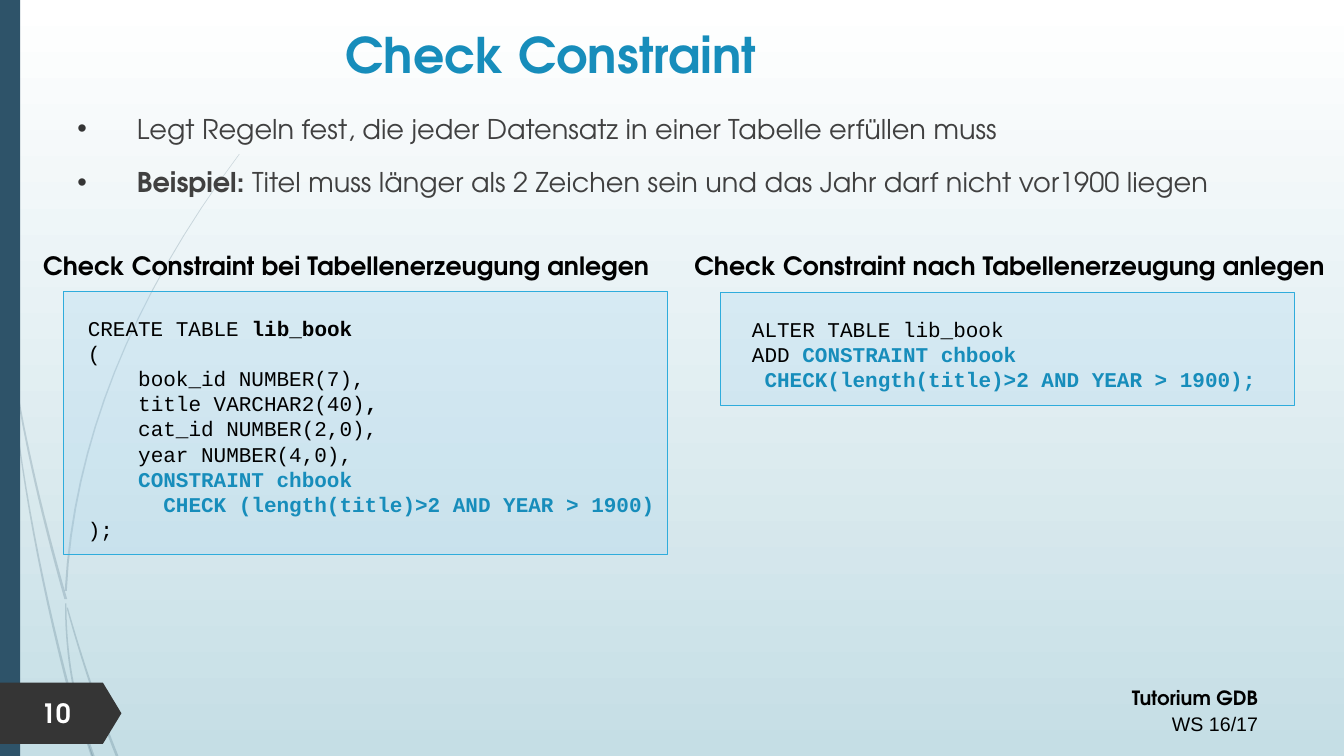
import pptx
import pptx.util
import pptx.dml.color
import pptx.enum.text
import pptx.enum.shapes
import pptx.oxml.ns
import lxml.etree

Pt = pptx.util.Pt
PP_ALIGN = pptx.enum.text.PP_ALIGN

SANS, MONO = "TeX Gyre Adventor", "Courier New"
BLUE, NAVY, BLACK, CHARCOAL = "178DBB", "2E5369", "000000", "353535"

# Tapered wisps: start, control point, end, width at start and end
WISPS = [
    ((0, 209), (3, 230), (6, 250), 2, 0.5),
    ((8, 253), (19, 330), (47, 428), 1, 2),
    ((48, 434), (63, 488), (84, 541), 1, 2),
    ((6, 252), (18, 380), (55, 514), 0.5, 2),
    ((52, 492), (57, 515), (66, 541), 0.5, 1.5),
    ((47, 431), (47, 475), (58, 512), 1, 1.5),
    ((171, 110), (55, 265), (47, 422), 0.5, 1.5),
    ((58, 512), (62, 526), (67, 541), 0.5, 2),
]


def color(value):
    return pptx.dml.color.RGBColor.from_string(value)


def paint(shape, fill, opacity=100, line=None):
    shape.shadow.inherit = False
    shape.fill.solid()
    shape.fill.fore_color.rgb = color(fill)
    if opacity < 100:
        choice = shape.fill._xPr.find(".//" + pptx.oxml.ns.qn("a:srgbClr"))
        alpha = lxml.etree.SubElement(choice, pptx.oxml.ns.qn("a:alpha"))
        alpha.set("val", str(opacity * 1000))
    if line:
        shape.line.color.rgb = color(line)
        shape.line.width = Pt(0.75)
    else:
        shape.line.fill.background()


def add_outline(slide, points, fill, opacity=100):
    start, *rest = [(Pt(x), Pt(y)) for x, y in points]
    builder = slide.shapes.build_freeform(*start)
    builder.add_line_segments(rest, close=True)
    paint(builder.convert_to_shape(), fill, opacity)


def add_wisp(slide, start, control, end, start_width, end_width, steps=16):
    left_edge, right_edge = [], []
    for step in range(steps + 1):
        t = step / steps
        x, y = ((1 - t) ** 2 * a + 2 * t * (1 - t) * b + t * t * c
                for a, b, c in zip(start, control, end))
        half = (start_width + (end_width - start_width) * t) / 2
        left_edge.append((x - half, y))
        right_edge.append((x + half, y))
    add_outline(slide, left_edge + right_edge[::-1], NAVY, 20)


def add_rectangle(slide, box, fill, opacity=100, line=None):
    shape = slide.shapes.add_shape(pptx.enum.shapes.MSO_SHAPE.RECTANGLE, *map(Pt, box))
    paint(shape, fill, opacity, line)
    return shape


def set_paragraph(paragraph, runs, size, font=SANS, ink=BLACK, bold=False, indent=0):
    """Each run is a text, or a tuple of text, boldness and colour."""
    paragraph.font.size, paragraph.font.name = Pt(size), font
    paragraph.font.color.rgb = color(ink)
    paragraph.font.bold = bold
    if indent:
        paragraph._p.get_or_add_pPr().set("marL", str(Pt(indent)))
    for item in runs:
        text, run_bold, run_ink = (item, bold, ink) if isinstance(item, str) else item
        run = paragraph.add_run()
        run.text = text
        run.font.size, run.font.name = Pt(size), font
        run.font.bold = run_bold
        run.font.color.rgb = color(run_ink)


def add_text(slide, box, lines, size, ink=BLACK, bold=False, align=PP_ALIGN.LEFT):
    frame = slide.shapes.add_textbox(*map(Pt, box)).text_frame
    frame.word_wrap = True
    for index, runs in enumerate(lines):
        paragraph = frame.add_paragraph() if index else frame.paragraphs[0]
        paragraph.alignment = align
        set_paragraph(paragraph, runs, size, ink=ink, bold=bold)
    return frame


def add_bullets(slide, box, lines):
    frame = add_text(slide, box, lines, 19.4, ink="404040")
    for paragraph in frame.paragraphs:
        paragraph.line_spacing = 1.2
        paragraph.space_before = Pt(10)
        properties = paragraph._p.get_or_add_pPr()
        properties.set("marL", str(Pt(42.5)))
        properties.set("indent", str(-Pt(42.5)))
        bullet_color = lxml.etree.Element(pptx.oxml.ns.qn("a:buClr"))
        lxml.etree.SubElement(bullet_color, pptx.oxml.ns.qn("a:srgbClr")).set("val", CHARCOAL)
        bullet_font = lxml.etree.Element(pptx.oxml.ns.qn("a:buFont"), typeface="Arial")
        bullet = lxml.etree.Element(pptx.oxml.ns.qn("a:buChar"), char="•")
        spacing = properties.find(pptx.oxml.ns.qn("a:spcBef"))
        for element in (bullet, bullet_font, bullet_color):
            spacing.addnext(element)


def add_code(slide, box, margin_left, lines):
    shape = add_rectangle(slide, box, "A8D5F0", 27, "2FACDC")
    frame = shape.text_frame
    frame.word_wrap = True
    frame.vertical_anchor = pptx.enum.text.MSO_ANCHOR.MIDDLE
    frame.margin_left, frame.margin_top = Pt(margin_left), Pt(11.5)
    for index, (indent, runs) in enumerate(lines):
        paragraph = frame.add_paragraph() if index else frame.paragraphs[0]
        paragraph.alignment = PP_ALIGN.LEFT
        set_paragraph(paragraph, runs, 15, font=MONO, indent=indent)


def main():
    presentation = pptx.Presentation()
    presentation.slide_width, presentation.slide_height = Pt(960), Pt(540)
    slide = presentation.slides.add_slide(presentation.slide_layouts[6])

    # Background, wisps and side bar
    background = slide.background.fill
    background.gradient()
    background.gradient_angle = 270
    for stop, value in zip(background.gradient_stops, ("FFFFFF", "C5DEE5")):
        stop.color.rgb = color(value)
    for wisp in WISPS:
        add_wisp(slide, *wisp)
    add_rectangle(slide, (0, 0, 14.4, 540), NAVY)

    # Footer and page number
    footer = add_text(slide, (531.4, 483.8, 374.4, 46), [["Tutorium GDB"], ["WS 16/17"]],
                      14, bold=True, align=PP_ALIGN.RIGHT)
    for paragraph in footer.paragraphs:
        paragraph.line_spacing = 1.14
    term = footer.paragraphs[1]
    for font in (term.font, term.runs[0].font):
        font.name, font.bold = "Arial", False
    add_outline(slide, [(0, 487.5), (73.5, 487.5), (86.8, 509.5), (73.5, 531.4), (0, 531.4)],
                CHARCOAL)
    add_text(slide, (22.3, 493.9, 50.4, 30.2), [["10"]], 19, ink="FFFFFF", bold=True)

    # Title and rules
    title = add_text(slide, (86.4, 13.7, 645.8, 58.3), [["Check Constraint"]], 35,
                     ink=BLUE, bold=True, align=PP_ALIGN.CENTER)
    title.margin_right = Pt(38)
    add_bullets(slide, (48.2, 72, 853.2, 72.7), [
        ["Legt Regeln fest, die jeder Datensatz in einer Tabelle erfüllen muss"],
        [("Beispiel:", True, "404040"),
         " Titel muss länger als 2 Zeichen sein und das Jahr darf nicht vor1900 liegen"]])

    # Code boxes, indented in steps of one 9 pt character
    add_code(slide, (45.4, 208.1, 431.3, 187.9), 17.3, [
        (0, ["CREATE TABLE ", ("lib_book", True, BLACK)]),
        (0, ["("]),
        (36, ["book_id NUMBER(7),"]),
        (36, ["title VARCHAR2(40)", (",", True, BLACK)]),
        (36, ["cat_id NUMBER(2,0),"]),
        (36, ["year NUMBER(4,0),"]),
        (36, [("CONSTRAINT chbook", True, BLUE)]),
        (54, [("CHECK (length(title)>2 AND YEAR > 1900)", True, BLUE)]),
        (0, [");"])])
    add_code(slide, (514.8, 208.8, 409.7, 80.6), 22.3, [
        (0, ["ALTER TABLE lib_book"]),
        (0, ["ADD ", ("CONSTRAINT chbook", True, BLUE)]),
        (9, [("CHECK(length(title)>2 AND YEAR > 1900);", True, BLUE)])])

    # Headings above the code
    for left, width, moment in ((23.8, 480.2, "bei"), (488.9, 470.9, "nach")):
        add_text(slide, (left, 175.3, width, 30.2),
                 [[f"Check Constraint {moment} Tabellenerzeugung anlegen"]], 18, bold=True)

    presentation.save("out.pptx")


if __name__ == "__main__":
    main()
